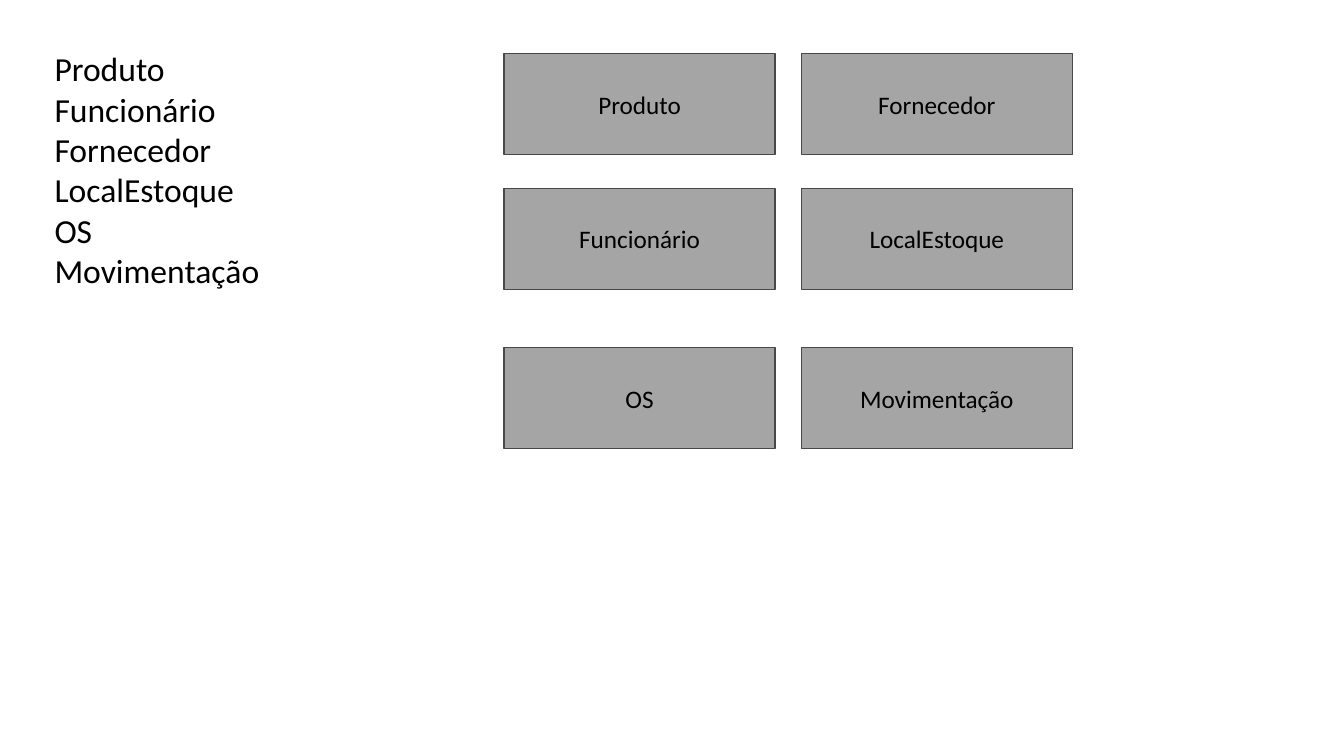
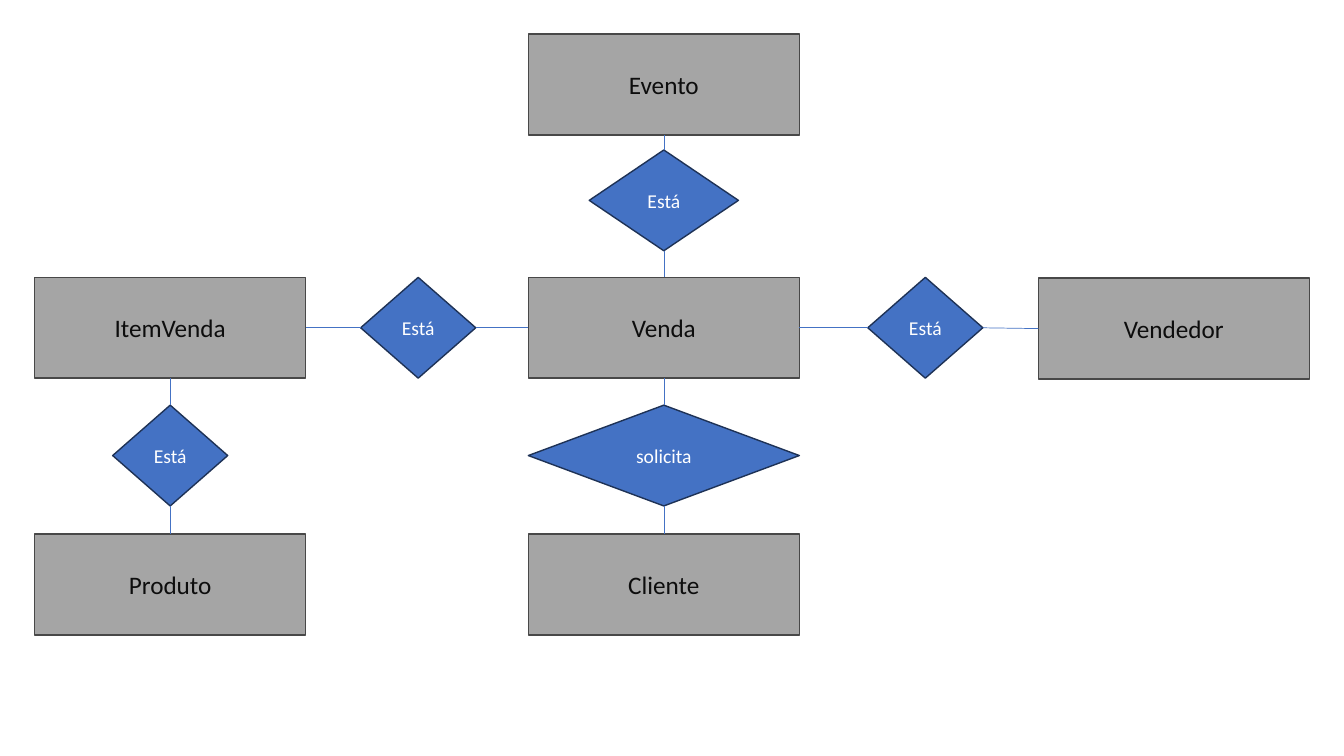
"""Build two slides: a list of entities and the entity-relationship diagram of a sale."""
import pptx
import pptx.dml.color
import pptx.enum.shapes
import pptx.enum.text
import pptx.oxml.ns
import pptx.util
from lxml import etree

Cm = pptx.util.Cm
Pt = pptx.util.Pt
MSO_SHAPE = pptx.enum.shapes.MSO_SHAPE

FONT = "Calibri"
BLACK = "000000"
NEAR_BLACK = "0D0D0D"
BLUE = "4472C4"
NODE_WIDTH = 6.83
NODE_HEIGHT = 2.54
ENTITY = (MSO_SHAPE.RECTANGLE, "A5A5A5", "484848", 18)
RELATION = (MSO_SHAPE.DIAMOND, BLUE, "1E3256", 14)
TOP, LEFT, BOTTOM, RIGHT = range(4)


def color(hex_value):
    return pptx.dml.color.RGBColor.from_string(hex_value)


def add_node(slide, style, text, center, top, width, text_color):
    geometry, fill, outline, size = style
    shape = slide.shapes.add_shape(
        geometry, Cm(center - width / 2), Cm(top), Cm(width), Cm(NODE_HEIGHT))
    shape.shadow.inherit = False
    shape.fill.solid()
    shape.fill.fore_color.rgb = color(fill)
    shape.line.color.rgb = color(outline)
    shape.line.width = Pt(1)
    shape.text_frame.vertical_anchor = pptx.enum.text.MSO_ANCHOR.MIDDLE
    paragraph = shape.text_frame.paragraphs[0]
    paragraph.alignment = pptx.enum.text.PP_ALIGN.CENTER
    run = paragraph.add_run()
    run.text = text
    run.font.name = FONT
    run.font.size = Pt(size)
    run.font.color.rgb = color(text_color)
    return shape


presentation = pptx.Presentation()
presentation.slide_width = Cm(33.87)
presentation.slide_height = Cm(19.05)

slide = presentation.slides.add_slide(presentation.slide_layouts[1])
title = slide.shapes.title.element
title.getparent().remove(title)
body = slide.placeholders[1]
body.left, body.top, body.width, body.height = Cm(1.12), Cm(1.09), Cm(6.27), Cm(6.4)
text_frame = body.text_frame
text_frame.auto_size = pptx.enum.text.MSO_AUTO_SIZE.NONE
entity_names = ["Produto", "Funcionário", "Fornecedor", "LocalEstoque", "OS", "Movimentação"]
for index, name in enumerate(entity_names):
    paragraph = text_frame.add_paragraph() if index else text_frame.paragraphs[0]
    paragraph.space_before = Pt(0)
    paragraph.line_spacing = 1.0
    properties = paragraph._p.get_or_add_pPr()
    properties.set("marL", "0")
    properties.set("indent", "0")
    etree.SubElement(properties, pptx.oxml.ns.qn("a:buNone"))
    run = paragraph.add_run()
    run.text = name
    run.font.name = FONT
    run.font.size = Pt(24)
    run.font.color.rgb = color(BLACK)

entity_rows = [
    (1.35, ["Produto", "Fornecedor"]),
    (4.75, ["Funcionário", "LocalEstoque"]),
    (8.76, ["OS", "Movimentação"]),
]
for top, names in entity_rows:
    for center, name in zip((16.12, 23.61), names):
        add_node(slide, ENTITY, name, center, top, NODE_WIDTH, BLACK)

slide = presentation.slides.add_slide(presentation.slide_layouts[6])
item_x, sale_x, seller_x = 4.29, 16.73, 29.58
sale_y, lower_relation_y, lower_entity_y = 6.99, 10.21, 13.46
nodes = {}
for name, center, top in [
    ("Evento", sale_x, 0.86),
    ("ItemVenda", item_x, sale_y),
    ("Cliente", sale_x, lower_entity_y),
    ("Vendedor", seller_x, 7.01),
    ("Venda", sale_x, sale_y),
    ("Produto", item_x, lower_entity_y),
]:
    nodes[name] = add_node(slide, ENTITY, name, center, top, NODE_WIDTH, NEAR_BLACK)

relations = [
    ("Está", 10.54, sale_y, 2.9, "ItemVenda", "Venda", True),
    ("Está", 23.32, sale_y, 2.9, "Venda", "Vendedor", True),
    ("solicita", sale_x, lower_relation_y, NODE_WIDTH, "Venda", "Cliente", False),
    ("Está", sale_x, 3.78, 3.76, "Evento", "Venda", False),
    ("Está", item_x, lower_relation_y, 2.9, "ItemVenda", "Produto", False),
]
for text, center, top, width, first, second, horizontal in relations:
    diamond = add_node(slide, RELATION, text, center, top, width, "FFFFFF")
    leaving, entering = (RIGHT, LEFT) if horizontal else (BOTTOM, TOP)
    for start, end in [(nodes[first], diamond), (diamond, nodes[second])]:
        connector = slide.shapes.add_connector(
            pptx.enum.shapes.MSO_CONNECTOR.STRAIGHT, 0, 0, 0, 0)
        connector.begin_connect(start, leaving)
        connector.end_connect(end, entering)
        connector.line.color.rgb = color(BLUE)
        connector.line.width = Pt(0.5)
        etree.SubElement(connector.element.spPr, pptx.oxml.ns.qn("a:effectLst"))

presentation.save("out.pptx")
